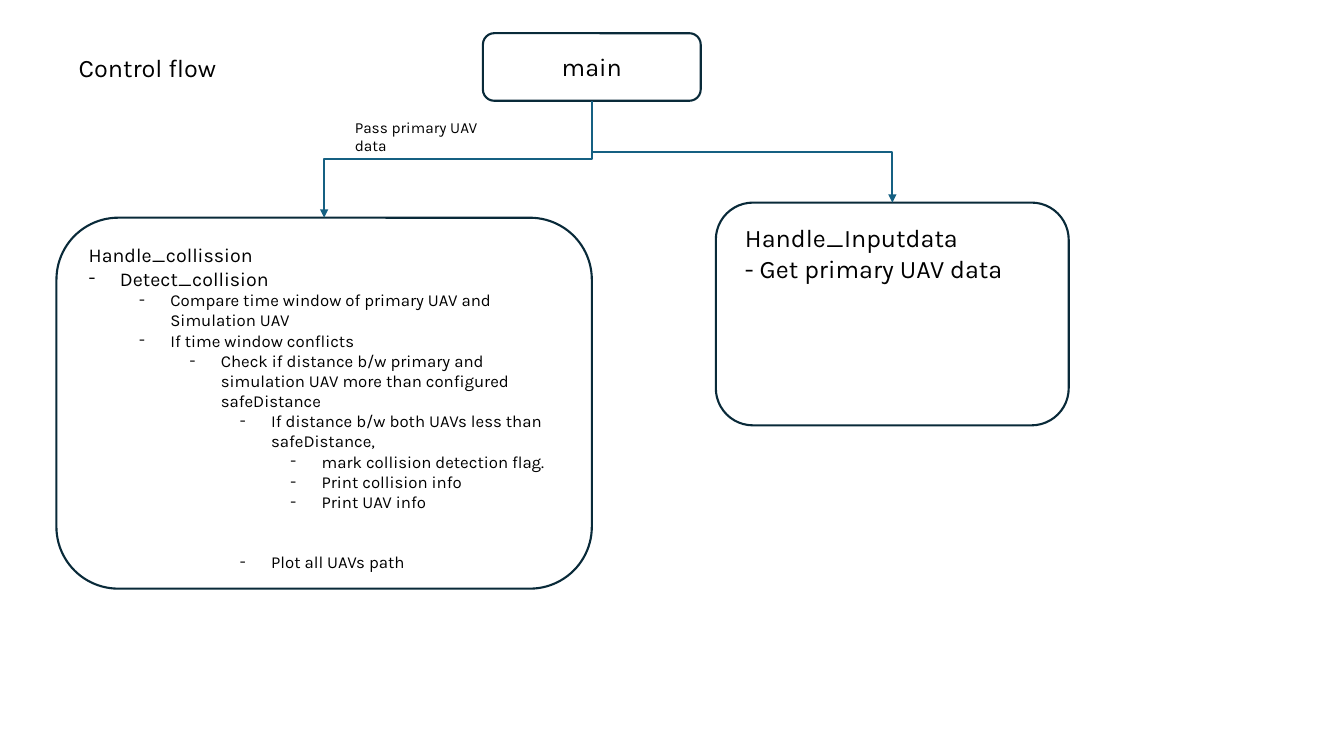
from lxml import etree
from pptx import Presentation
from pptx.dml.color import RGBColor
from pptx.enum.shapes import MSO_CONNECTOR, MSO_SHAPE
from pptx.enum.text import MSO_ANCHOR, MSO_AUTO_SIZE, PP_ALIGN
from pptx.oxml.ns import qn
from pptx.util import Pt

EMU_PER_PX = 9144  # 100 px to the inch
ROUNDED = MSO_SHAPE.FLOWCHART_ALTERNATE_PROCESS
ELBOW = MSO_CONNECTOR.ELBOW
TOP = MSO_ANCHOR.TOP
NO_AUTOFIT = MSO_AUTO_SIZE.NONE
LEFT, CENTER = PP_ALIGN.LEFT, PP_ALIGN.CENTER
BOTTOM_SITE, TOP_SITE = 2, 0
LEVEL_INDENT, HANGING = 50, 31

# Level, text, size and space before, in points
COLLISION_STEPS = [
    (None, "Handle_collission", 14, 0),
    (0, "Detect_collision", 14, 0),
    (1, "Compare time window of primary UAV and Simulation UAV", 12, 0),
    (1, "If time window conflicts", 12, 0),
    (2, "Check if distance b/w primary and simulation UAV more than "
        "configured safeDistance", 12, 0),
    (3, "If distance b/w both UAVs less than safeDistance,", 12, 0),
    (4, "mark collision detection flag.", 12, 0),
    (4, "Print collision info", 12, 0),
    (4, "Print UAV info", 12, 0),
    (3, "Plot all UAVs path", 12, 28.5),
]


def px(length):
    return round(length * EMU_PER_PX)


def color(hex_string):
    return RGBColor.from_string(hex_string)


class FlowSlide:
    font = "Karla"
    ink = "000000"
    outline = "092A39"
    arrow = "156082"
    line_width = Pt(1.5)

    def __init__(self, presentation):
        self.slide = presentation.slides.add_slide(presentation.slide_layouts[1])

    def add_text(self, paragraph, text, size=18, align=LEFT, space_before=0):
        paragraph.alignment = align
        paragraph.space_before = Pt(space_before)
        run = paragraph.add_run()
        run.text = text
        run.font.name = self.font
        run.font.size = Pt(size)
        run.font.color.rgb = color(self.ink)

    def prepare(self, shape, box):
        """Place a text holder and return its frame, wrapped and top-anchored."""
        shape.left, shape.top, shape.width, shape.height = map(px, box)
        frame = shape.text_frame
        frame.word_wrap = True
        frame.auto_size = NO_AUTOFIT
        frame.vertical_anchor = TOP
        return frame

    def title(self, text, box):
        frame = self.prepare(self.slide.shapes.title, box)
        self.add_text(frame.paragraphs[0], text)

    def label(self, lines, box, **text_format):
        frame = self.prepare(self.slide.shapes.add_textbox(*map(px, box)), box)
        for index, line in enumerate(lines):
            paragraph = frame.add_paragraph() if index else frame.paragraphs[0]
            self.add_text(paragraph, line, **text_format)

    def steps(self, steps, box):
        frame = self.prepare(self.slide.placeholders[1], box)
        for index, (level, text, size, space_before) in enumerate(steps):
            paragraph = frame.add_paragraph() if index else frame.paragraphs[0]
            self.add_text(paragraph, text, size=size, space_before=space_before)
            self.bullet(paragraph, level)

    def bullet(self, paragraph, level):
        """Set a dash and hanging indent, or neither when level is None."""
        properties = paragraph._p.get_or_add_pPr()
        if level is None:
            properties.set("marL", "0")
            properties.set("indent", "0")
            etree.SubElement(properties, qn("a:buNone"))
            return
        paragraph.level = level
        properties.set("marL", str(px(HANGING + level * LEVEL_INDENT)))
        properties.set("indent", str(px(-HANGING)))
        etree.SubElement(properties, qn("a:buFont"), typeface=self.font)
        etree.SubElement(properties, qn("a:buChar"), char="-")

    def box(self, box):
        shape = self.slide.shapes.add_shape(ROUNDED, *map(px, box))
        shape.shadow.inherit = False
        shape.fill.background()
        shape.line.color.rgb = color(self.outline)
        shape.line.width = self.line_width
        return shape

    def down_arrow(self, source, target):
        """Join bottom to top by an elbow that leaves and arrives vertically."""
        start_x, start_y = source.left + source.width // 2, source.top + source.height
        end_x, end_y = target.left + target.width // 2, target.top
        connector = self.slide.shapes.add_connector(ELBOW, start_x, start_y, end_x, end_y)
        connector.begin_connect(source, BOTTOM_SITE)
        connector.end_connect(target, TOP_SITE)
        connector.line.color.rgb = color(self.arrow)
        connector.line.width = self.line_width

        # The elbow runs sideways by default, so its frame is turned a quarter
        connector.width, connector.height = end_y - start_y, abs(end_x - start_x)
        connector.left = (start_x + end_x - connector.width) // 2
        connector.top = (start_y + end_y - connector.height) // 2
        to_right = end_x > start_x
        properties = connector._element.spPr
        transform = properties.find(qn("a:xfrm"))
        transform.set("rot", "16200000" if to_right else "5400000")
        transform.set("flipH", "1" if to_right else "0")
        line = properties.find(qn("a:ln"))
        etree.SubElement(line, qn("a:tailEnd"), type="triangle")
        etree.SubElement(properties, qn("a:effectLst"))


def main():
    presentation = Presentation()
    presentation.slide_width, presentation.slide_height = px(1333), px(750)
    flow = FlowSlide(presentation)

    flow.title("Control flow", (68, 47, 426, 40))
    main_box = flow.box((479, 33, 216, 67))
    input_box = flow.box((710, 201, 350, 221))
    collision_box = flow.box((56, 216, 531, 368))
    flow.down_arrow(main_box, input_box)
    flow.down_arrow(main_box, collision_box)

    flow.label(["main"], (547, 46, 80, 40), align=CENTER)
    flow.label(["Handle_Inputdata", "- Get primary UAV data"], (729, 216, 298, 71))
    flow.steps(COLLISION_STEPS, (78, 236, 493, 340))
    flow.label(["Pass primary UAV data"], (342, 112, 151, 47), size=11)

    presentation.save("out.pptx")


if __name__ == "__main__":
    main()
